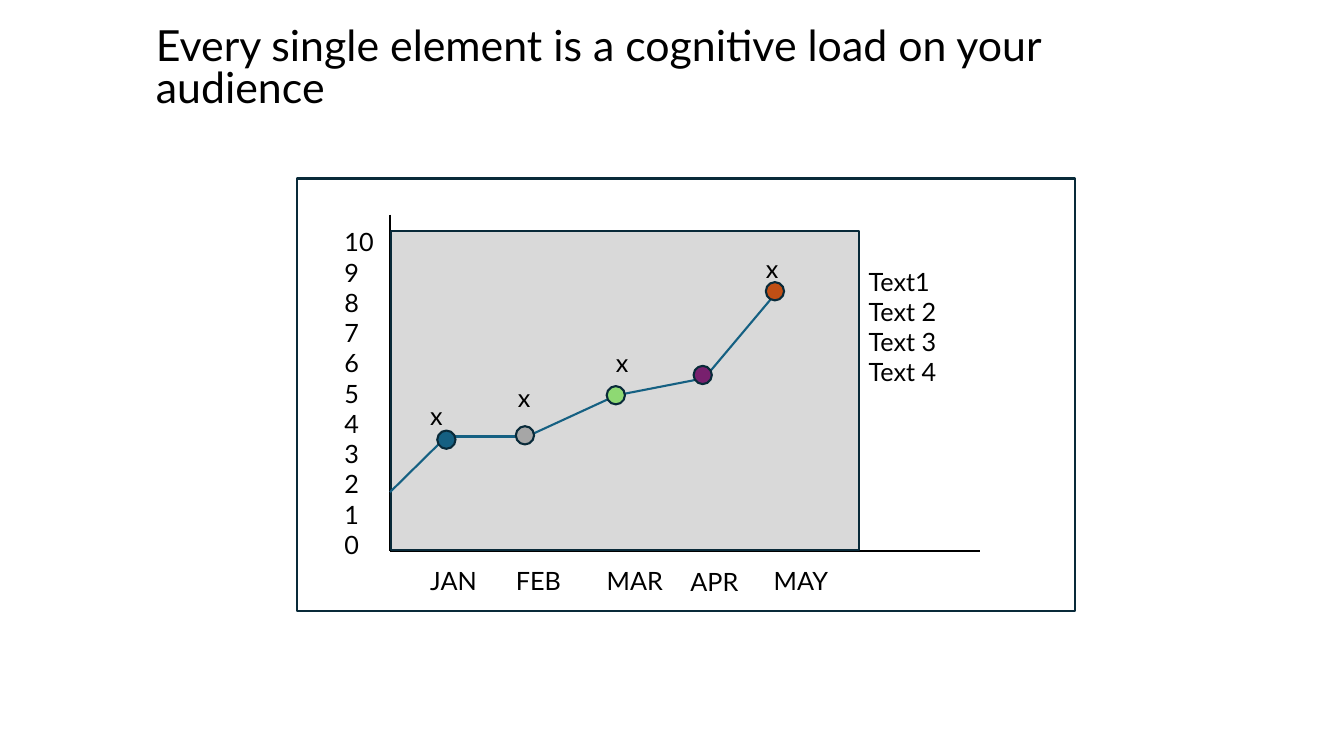
from itertools import pairwise
from lxml import etree
from pptx import Presentation
from pptx.dml.color import RGBColor
from pptx.enum import shapes as sh, text as tx
from pptx.oxml.ns import qn
from pptx.util import Cm, Pt

BLACK = RGBColor(0x00, 0x00, 0x00)
NAVY = RGBColor(0x09, 0x2A, 0x39)
BLUE = RGBColor(0x15, 0x60, 0x82)
PALE = RGBColor(0xD9, 0xD9, 0xD9)
GRAY = RGBColor(0xA6, 0xA6, 0xA6)
GREEN = RGBColor(0x8E, 0xD9, 0x73)
PLUM = RGBColor(0x78, 0x20, 0x6E)
RUST = RGBColor(0xC0, 0x4F, 0x15)

deck = Presentation()
deck.slide_width, deck.slide_height = Cm(33.87), Cm(19.05)
slide = deck.slides.add_slide(deck.slide_layouts[6])
items = slide.shapes


def label(lines, left, top, wide, high, size=18):
    box = items.add_textbox(Cm(left), Cm(top), Cm(wide), Cm(high))
    frame = box.text_frame
    frame.word_wrap = True
    frame.text = "\n".join(lines)
    style = {"name": "Lato", "size": Pt(size)}
    for para in frame.paragraphs:
        para.font.color.rgb = BLACK
        for key, value in style.items():
            setattr(para.font, key, value)
    return frame


def draw(kind, left, top, wide, high, fill=None):
    item = items.add_shape(kind, Cm(left), Cm(top), Cm(wide), Cm(high))
    item.shadow.inherit = False
    if fill is None:
        item.fill.background()
    else:
        item.fill.solid()
        item.fill.fore_color.rgb = fill
    item.line.color.rgb = NAVY
    item.line.width = Pt(1.5)


RECT, OVAL = sh.MSO_SHAPE.RECTANGLE, sh.MSO_SHAPE.OVAL
draw(RECT, 7.49, 4.5, 19.61, 10.9)

top, zero, right = (9.83, 5.41), (9.83, 13.89), (24.69, 13.89)
trend = [(9.83, 12.4), (11.25, 11), (13.28, 11), (15.54, 9.96),
         (17.75, 9.53), (19.66, 7.26)]
for path_pts, color in (([top, zero, right], BLACK), (trend, BLUE)):
    if color == BLUE:
        draw(RECT, 9.86, 5.82, 11.79, 8.05, PALE)
    for start, end in pairwise(path_pts):
        line = items.add_connector(sh.MSO_CONNECTOR.STRAIGHT,
                                   *map(Cm, start + end))
        line.line.color.rgb = color
        line.line.width = Pt(1.5)
        etree.SubElement(line._element.spPr, qn("a:effectLst"))

months = [("JAN", 10.59, 14.12), ("FEB", 12.75, 14.12), ("MAR", 15.04, 14.12),
          ("APR", 17.15, 14.15), ("MAY", 19.25, 14.12)]
for month, left, high in months:
    label([month], left, high, 2.11, 1.02)

label(map(str, range(10, -1, -1)), 8.43, 5.59, 1.32, 8.71)

for left, high in ((10.59, 9.96), (12.8, 9.5), (15.27, 8.64), (19.05, 6.25)):
    label(["x"], left, high, 1.27, 1.02)

dots = [(11.02, 10.85, BLUE), (13, 10.74, GRAY), (15.29, 9.73, GREEN),
        (17.48, 9.22, PLUM), (19.3, 7.11, RUST)]
for left, high, color in dots:
    draw(OVAL, left, high, 0.46, 0.46, color)

label(["Text1", "Text 2", "Text 3", "Text 4"], 21.64, 6.58, 4.57, 3.33)

title = label(["Every single element is a cognitive load on your audience"],
              3.68, 0.64, 26.47, 2.26, 30.6)
title.vertical_anchor = tx.MSO_ANCHOR.MIDDLE
title.paragraphs[0].line_spacing = 0.8

deck.save("out.pptx")
